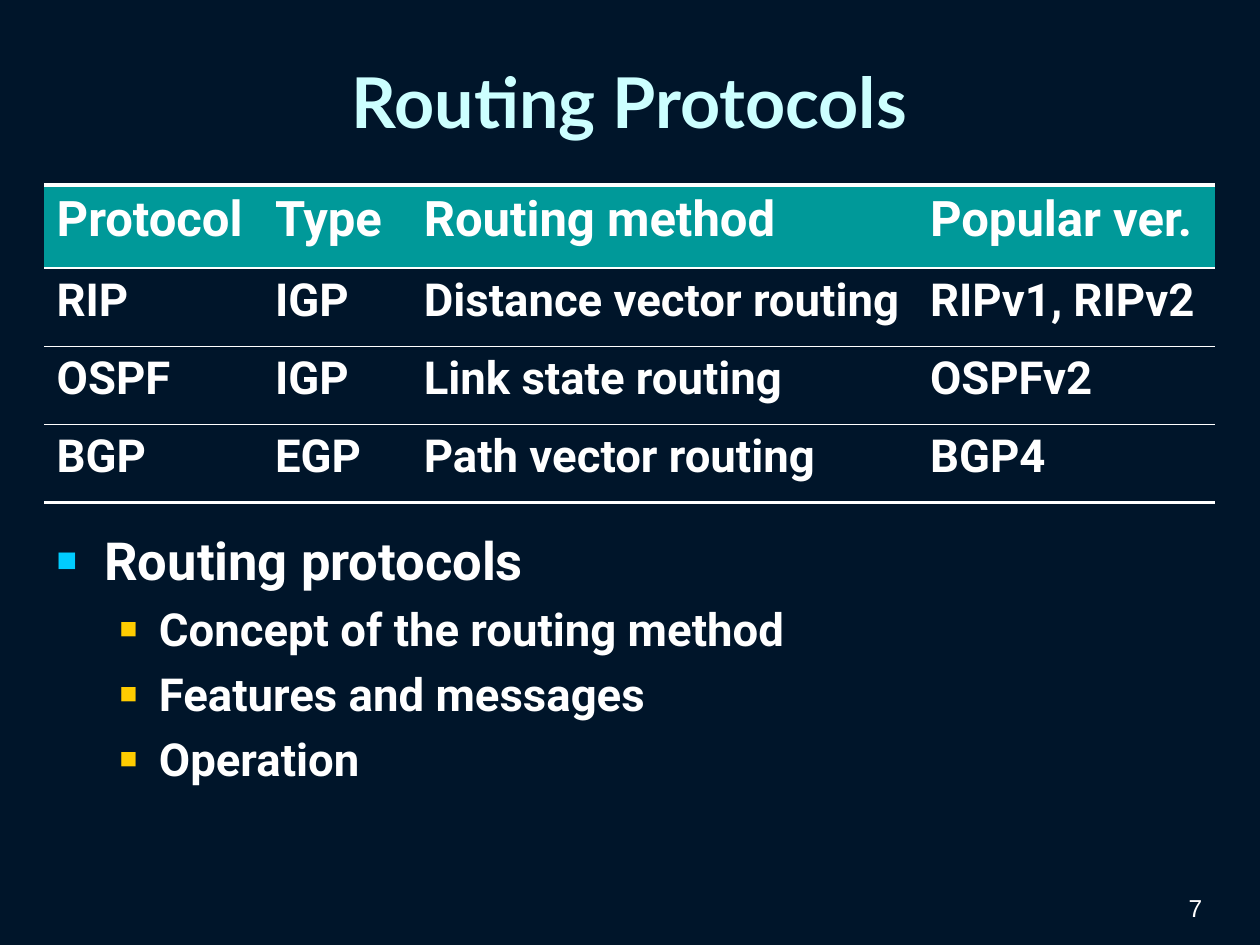
from lxml.etree import SubElement
from pptx import Presentation
from pptx.dml.color import RGBColor
from pptx.enum.text import MSO_ANCHOR, MSO_AUTO_SIZE, PP_ALIGN
from pptx.oxml import parse_xml
from pptx.oxml.ns import nsdecls, qn
from pptx.util import Pt

NAVY = RGBColor(0x00, 0x15, 0x2A)
WHITE = RGBColor(0xFF, 0xFF, 0xFF)
ICE = RGBColor(0xCC, 0xFF, 0xFF)
TEAL = RGBColor(0x00, 0x99, 0x99)
CYAN = RGBColor(0x00, 0xCC, 0xFF)
GOLD = RGBColor(0xFF, 0xCC, 0x00)

LEFT, WIDTH = 25.2, 669

PROTOCOLS = [
    ("Protocol", "Type", "Routing method", "Popular ver."),
    ("RIP", "IGP", "Distance vector routing", "RIPv1, RIPv2"),
    ("OSPF", "IGP", "Link state routing", "OSPFv2"),
    ("BGP", "EGP", "Path vector routing", "BGP4"),
]
TOPICS = [
    (0, "Routing protocols"),
    (1, "Concept of the routing method"),
    (1, "Features and messages"),
    (1, "Operation"),
]


class Deck:
    title_font, body_font, number_font = "Lato", "Roboto", "Arial"
    levels = [(30, 27.4, 27.4, CYAN), (26, 58.5, 22.5, GOLD)]

    def __init__(self):
        self.prs = Presentation()
        self.prs.slide_width, self.prs.slide_height = Pt(720), Pt(540)

    def add_slide(self):
        self.s = self.prs.slides.add_slide(self.prs.slide_layouts[5])
        fill = self.s.background.fill
        fill.solid()
        fill.fore_color.rgb = NAVY

    def format(self, p, size, font, color=WHITE, bold=True):
        for r in p.runs:
            r.font.size, r.font.name, r.font.bold = Pt(size), font, bold
            r.font.color.rgb = color

    def title(self, text, x, y, w, h):
        sp = self.s.shapes.title
        sp.left, sp.top, sp.width, sp.height = Pt(x), Pt(y), Pt(w), Pt(h)
        tf = sp.text_frame
        tf.text = text
        tf.auto_size = MSO_AUTO_SIZE.NONE
        tf.vertical_anchor = MSO_ANCHOR.MIDDLE
        tf.paragraphs[0].alignment = PP_ALIGN.CENTER
        self.format(tf.paragraphs[0], 40, self.title_font, ICE)

    def text_box(self, x, y, w, h):
        tf = self.s.shapes.add_textbox(Pt(x), Pt(y), Pt(w), Pt(h)).text_frame
        tf.word_wrap = True
        return tf

    def bullets(self, items, x, y, w, h):
        tf = self.text_box(x, y, w, h)
        tf.text = "\n".join(text for _, text in items)
        for p, (level, _) in zip(tf.paragraphs, items):
            size, margin, hang, color = self.levels[level]
            p.level = level
            p.space_before = Pt(6)
            self.format(p, size, self.body_font)
            self.bullet(p, margin, hang, color)

    def bullet(self, p, margin, hang, color):
        pPr = p._p.get_or_add_pPr()
        pPr.set("marL", str(Pt(margin)))
        pPr.set("indent", str(-Pt(hang)))
        clr = SubElement(pPr, qn("a:buClr"))
        SubElement(clr, qn("a:srgbClr"), val=str(color))
        SubElement(pPr, qn("a:buSzPct"), val="65000")
        SubElement(pPr, qn("a:buFont"), typeface="Arial")
        SubElement(pPr, qn("a:buChar"), char="■")

    def table(self, rows, x, y, widths, heights):
        shape = self.s.shapes.add_table(
            len(rows), len(widths), Pt(x), Pt(y), Pt(sum(widths)), Pt(sum(heights)))
        tbl = shape.table
        tbl.horz_banding = False
        for col, w in zip(tbl.columns, widths):
            col.width = Pt(w)
        last = len(rows) - 1
        for i, (row, h) in enumerate(zip(rows, heights)):
            tbl.rows[i].height = Pt(h)
            top = 2.25 if i == 0 else 1
            bottom = 2.25 if i == last else 1
            for j, text in enumerate(row):
                self.cell(tbl.cell(i, j), text, i == 0, top, bottom)

    def cell(self, cell, text, header, top, bottom):
        cell.text = text
        self.format(cell.text_frame.paragraphs[0], 28 if header else 26, self.body_font)
        if header:
            cell.fill.solid()
            cell.fill.fore_color.rgb = TEAL
        else:
            cell.fill.background()
        tcPr = cell._tc.get_or_add_tcPr()
        for k, (side, width) in enumerate(zip("LRTB", (0, 0, top, bottom))):
            paint = f'<a:solidFill><a:srgbClr val="{WHITE}"/></a:solidFill>' if width else "<a:noFill/>"
            tcPr.insert(k, parse_xml(
                f'<a:ln{side} {nsdecls("a")} w="{Pt(width)}">{paint}</a:ln{side}>'))

    def page_number(self, text, x, y, w, h):
        tf = self.text_box(x, y, w, h)
        tf.text = text
        tf.vertical_anchor = MSO_ANCHOR.BOTTOM
        tf.paragraphs[0].alignment = PP_ALIGN.RIGHT
        self.format(tf.paragraphs[0], 14, self.number_font, bold=False)


def main():
    deck = Deck()
    deck.add_slide()
    deck.title("Routing Protocols", LEFT, 9.4, WIDTH, 96.5)
    deck.table(PROTOCOLS, LEFT, 105.8, [124.8, 85, 289.3, 169.9], [47.5] + [44.6] * 3)
    deck.bullets(TOPICS, LEFT, 298, WIDTH, 203.8)
    deck.page_number("7", 526.3, 496.8, 167.8, 33.8)
    deck.prs.save("out.pptx")


if __name__ == "__main__":
    main()
